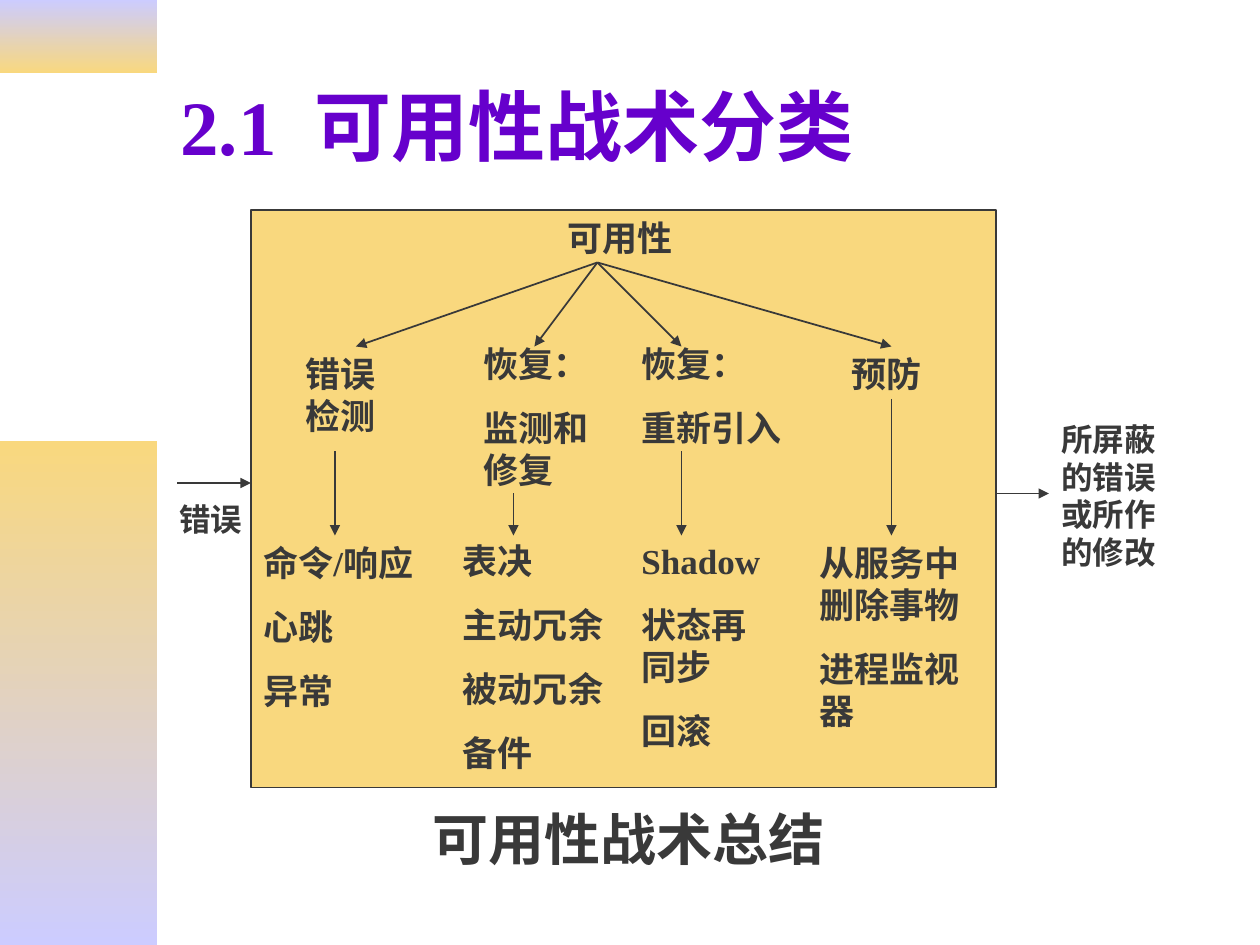
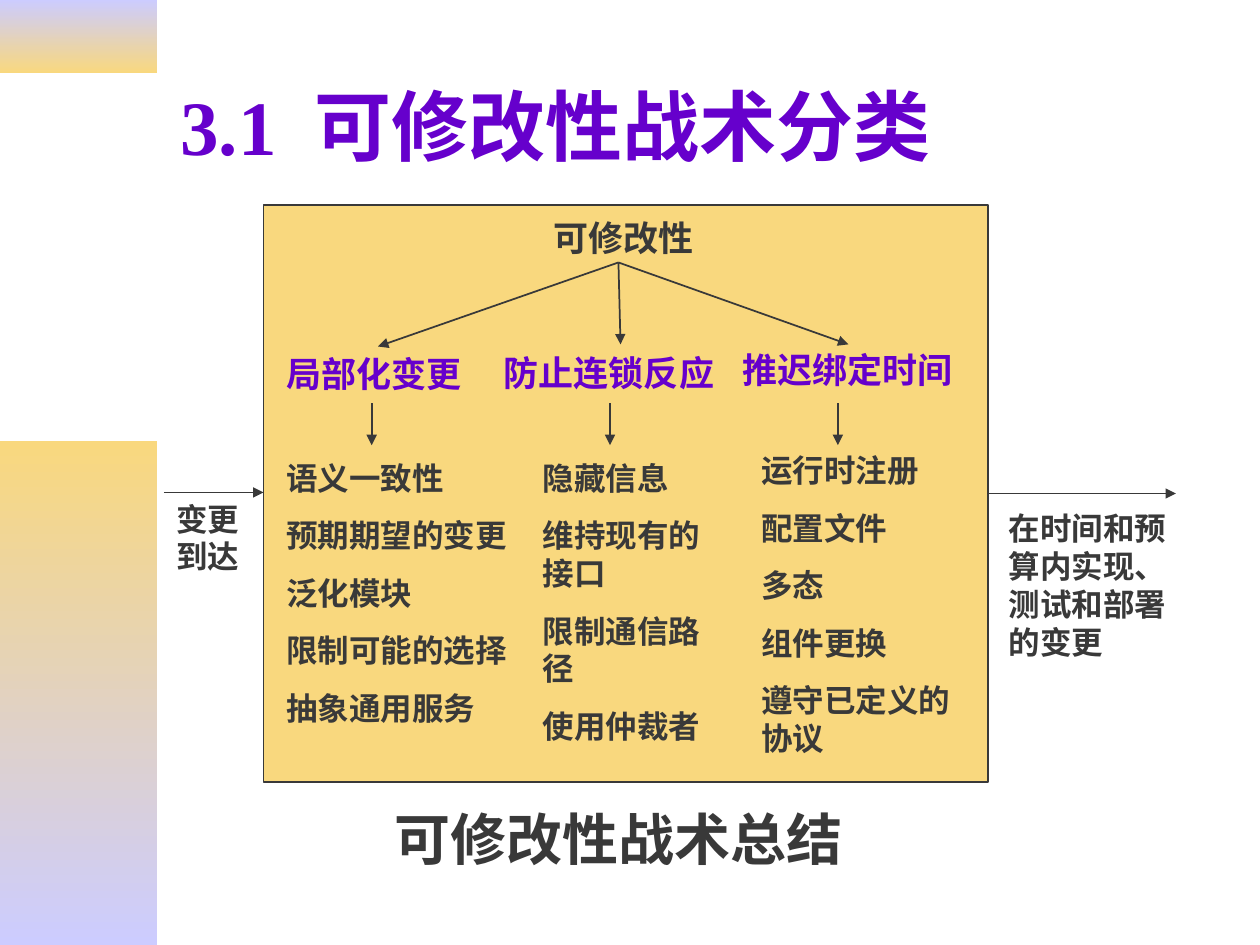
from dataclasses import dataclass

from lxml import etree
from pptx import Presentation
from pptx import util as u
from pptx.dml.color import RGBColor
from pptx.enum import lang, shapes, text
from pptx.oxml import ns

# Shared look
PURPLE = RGBColor(0x66, 0x00, 0xCC)
INK = RGBColor(0x39, 0x39, 0x39)
AMBER = RGBColor(0xF9, 0xD8, 0x7E)
LILAC = RGBColor(0xCC, 0xCC, 0xFF)
FONT = "Times New Roman"

# The slide is a grid of 120 columns by 90 rows of square cells
COLUMNS, ROWS = 120, 90
CELL = u.Inches(10) / COLUMNS


@dataclass
class Box:
    left: float
    top: float
    width: float
    height: float

    def inside(self, left, top, width, height):
        return Box(self.left + left, self.top + top, width, height)

    def point(self, column, row):
        return self.left + column, self.top + row

    def lengths(self):
        return [cells(n) for n in (self.left, self.top, self.width, self.height)]


@dataclass
class Tactic:
    head: list
    head_box: tuple
    items: list
    items_box: tuple
    tip: tuple      # end of the branch from the root
    stem: tuple     # column, first row and last row of the arrow to the items


@dataclass
class Flow:
    label: str
    label_box: tuple
    start: float
    end: float
    row: float


PAGE = Box(0, 0, COLUMNS, ROWS)


def cells(count):
    return u.Emu(round(count * CELL))


def add_text(page, box, lines, size=20, color=INK, anchor=text.MSO_ANCHOR.TOP,
             fit=True, tab=None):
    """Bold text; paragraphs after the first stand 5/8 of the size apart."""
    frame = page.shapes.add_textbox(*box.lengths()).text_frame
    frame.word_wrap = True
    frame.vertical_anchor = anchor
    if fit:
        frame.auto_size = text.MSO_AUTO_SIZE.SHAPE_TO_FIT_TEXT
    for number, line in enumerate(lines):
        para = frame.paragraphs[0] if number == 0 else frame.add_paragraph()
        if tab:
            stops = etree.SubElement(para._p.get_or_add_pPr(), ns.qn("a:tabLst"))
            etree.SubElement(stops, ns.qn("a:tab"), pos=str(cells(tab)), algn="l")
        if number:
            para.space_before = u.Pt(size * 0.625)
        span = para.add_run()
        span.text = line
        span.font.name = FONT
        span.font.size = u.Pt(size)
        span.font.bold = True
        span.font.color.rgb = color
        span.font.language_id = lang.MSO_LANGUAGE_ID.SIMPLIFIED_CHINESE


def add_rectangle(page, box):
    shape = page.shapes.add_shape(shapes.MSO_SHAPE.RECTANGLE, *box.lengths())
    shape.shadow.inherit = False
    return shape


def add_arrow(page, start, end):
    arrow = page.shapes.add_connector(
        shapes.MSO_CONNECTOR.STRAIGHT, *[cells(n) for n in (*start, *end)])
    arrow.line.color.rgb = INK
    arrow.line.width = u.Pt(1)
    line = arrow.line._get_or_add_ln()
    etree.SubElement(line, ns.qn("a:tailEnd"), type="triangle")
    etree.SubElement(arrow._element.spPr, ns.qn("a:effectLst"))


def add_band(page, box, top_color, bottom_color):
    band = add_rectangle(page, box)
    band.line.fill.background()
    band.fill.gradient()
    band.fill.gradient_angle = 270
    for stop, color, position in zip(band.fill.gradient_stops,
                                     (top_color, bottom_color), (0, 1)):
        stop.color.rgb = color
        stop.position = position


def add_backdrop(page, box, number, title):
    # Side bands and title
    add_band(page, box.inside(0, 0, 15, 7), LILAC, AMBER)
    add_band(page, box.inside(0, 42, 15, 48), AMBER, LILAC)
    add_text(page, box.inside(16, 4, 102, 15.8), [f"{number}\t{title}"], size=44,
             color=PURPLE, anchor=text.MSO_ANCHOR.MIDDLE, fit=False, tab=12.8)


def add_flow(page, box, flow):
    # Arrow entering or leaving the frame, with its label
    add_arrow(page, box.point(flow.start, flow.row), box.point(flow.end, flow.row))
    add_text(page, box.inside(*flow.label_box), [flow.label], size=18)


def add_tree(page, box, root, root_box, fork, tactics, head_color, item_size):
    # Frame and root
    frame = add_rectangle(page, box)
    frame.fill.solid()
    frame.fill.fore_color.rgb = AMBER
    frame.line.color.rgb = INK
    frame.line.width = u.Pt(1)
    add_text(page, box.inside(*root_box), [root])
    # One branch for each tactic
    for tactic in tactics:
        add_text(page, box.inside(*tactic.head_box), tactic.head, color=head_color)
        add_text(page, box.inside(*tactic.items_box), tactic.items, size=item_size)
        add_arrow(page, box.point(*fork), box.point(*tactic.tip))
        column, first, last = tactic.stem
        add_arrow(page, box.point(column, first), box.point(column, last))


def add_tactics_slide(deck, number, title, caption, caption_box, frame, flows, **tree):
    page = deck.slides.add_slide(deck.slide_layouts[6])
    add_backdrop(page, PAGE, number, title)
    add_tree(page, frame, **tree)
    for flow in flows:
        add_flow(page, frame, flow)
    add_text(page, PAGE.inside(*caption_box), [caption], size=32)


def add_availability(deck):
    add_tactics_slide(
        deck, "2.1", "可用性战术分类", "可用性战术总结", (40, 76, 45, 7.7),
        frame=Box(23.9, 20, 71, 55),
        flows=[
            Flow("错误", (-8, 27, 9, 4.8), -7, 0, 26),
            Flow("所屏蔽的错误或所作的修改", (76, 19.4, 14, 15.6), 71, 76, 27),
        ],
        root="可用性", root_box=(29, 0, 14, 5.3), fork=(33, 5),
        head_color=INK, item_size=20,
        tactics=[
            Tactic(["错误检测"], (4, 13, 11, 9.2),
                   ["命令/响应", "心跳", "异常"], (0, 31, 17, 21.4),
                   (10, 13), (8, 23, 31)),
            Tactic(["恢复：", "监测和修复"], (21, 12, 14, 15.4),
                   ["表决", "主动冗余", "被动冗余", "备件"], (19, 30.8, 16, 23.5),
                   (27, 13), (25, 27, 31)),
            Tactic(["恢复：", "重新引入"], (36, 12, 17, 11.3),
                   ["Shadow", "状态再同步", "回滚"], (36, 30.8, 14, 21.4),
                   (41, 13), (41, 23, 31)),
            Tactic(["预防"], (56, 13, 10, 5.3),
                   ["从服务中删除事物", "进程监视器"], (53, 31, 18, 19.3),
                   (61, 13), (61, 18, 31)),
        ])


def add_modifiability(deck):
    add_tactics_slide(
        deck, "3.1", "可修改性战术分类", "可修改性战术总结", (36.4, 76, 48.6, 7.7),
        frame=Box(25.1, 19.5, 69, 55),
        flows=[
            Flow("变更到达", (-9.5, 27.5, 9, 8.4), -9.5, 0, 27.4),
            Flow("在时间和预算内实现、测试和部署的变更", (69.8, 28.4, 18.1, 15.6),
                 69, 86.9, 27.5),
        ],
        root="可修改性", root_box=(26.4, 0.5, 17.4, 5.3), fork=(33.8, 5.5),
        head_color=PURPLE, item_size=18,
        tactics=[
            Tactic(["局部化变更"], (1, 13.5, 20.8, 5.3),
                   ["语义一致性", "预期期望的变更", "泛化模块", "限制可能的选择",
                    "抽象通用服务"], (1, 23.6, 24.6, 26.8),
                   (10.9, 13.5), (10.3, 18.9, 22.9)),
            Tactic(["防止连锁反应"], (21.7, 13.4, 23.6, 5.3),
                   ["隐藏信息", "维持现有的接口", "限制通信路径", "使用仲裁者"],
                   (25.4, 23.6, 18.8, 28.4),
                   (34, 13.3), (33, 18.9, 22.9)),
            Tactic(["推迟绑定时间"], (44.4, 13.1, 23.6, 5.3),
                   ["运行时注册", "配置文件", "多态", "组件更换", "遵守已定义的协议"],
                   (46.2, 22.9, 21.7, 30.4),
                   (55.7, 13.3), (54.7, 18.9, 22.9)),
        ])


def main():
    deck = Presentation()
    deck.slide_width, deck.slide_height = cells(COLUMNS), cells(ROWS)
    add_availability(deck)
    add_modifiability(deck)
    deck.save("out.pptx")


if __name__ == "__main__":
    main()
